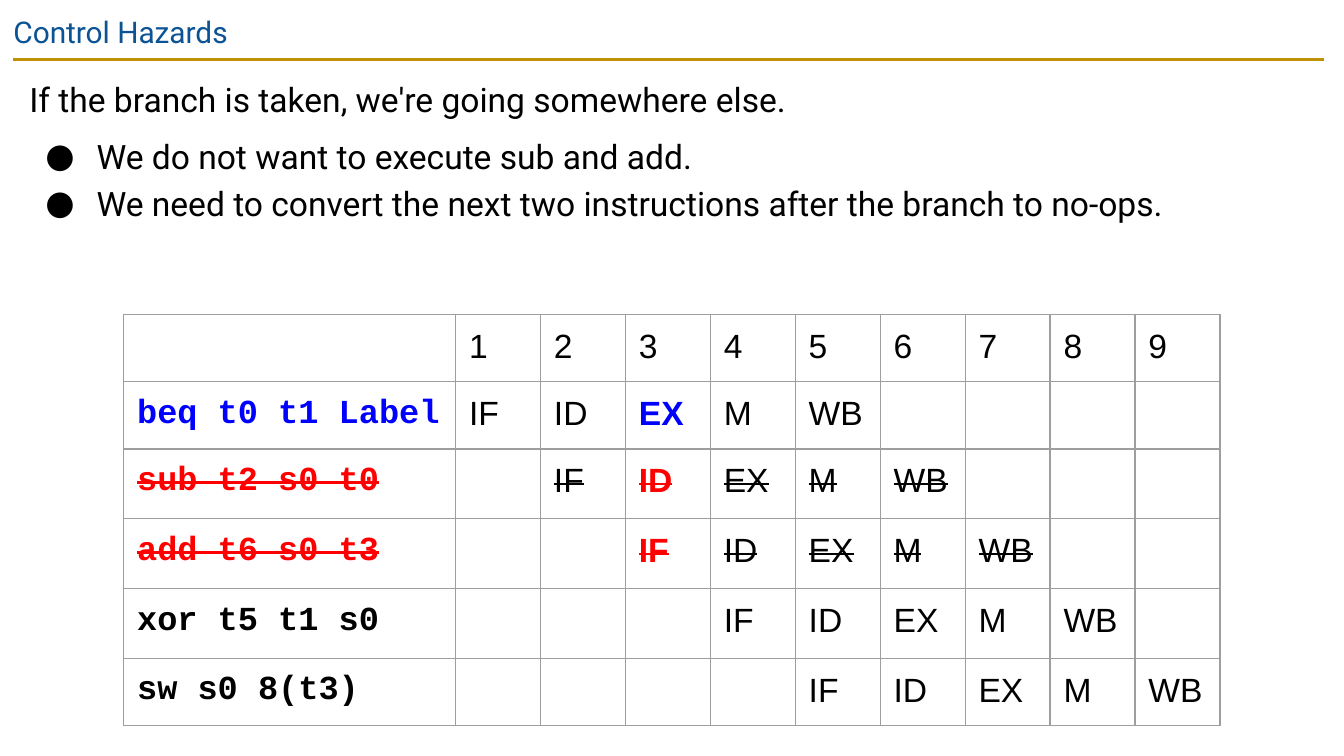
"""Build the Control Hazards slide with its pipeline table."""
from lxml.etree import SubElement
from pptx import Presentation
from pptx.dml.color import RGBColor
from pptx.enum.shapes import MSO_CONNECTOR
from pptx.enum.text import MSO_ANCHOR, MSO_AUTO_SIZE, PP_ALIGN
from pptx.oxml import parse_xml
from pptx.oxml.ns import nsdecls, qn
from pptx.util import Inches, Pt

BLACK = RGBColor(0, 0, 0)
BLUE = RGBColor(0, 0, 255)
RED = RGBColor(255, 0, 0)
NAVY = RGBColor(0x0B, 0x53, 0x94)
GOLD = RGBColor(0xBF, 0x90, 0x00)


def write(para, text, color=BLACK, **style):
    run = para.add_run()
    run.text = text
    run.font.color.rgb = color
    for key, value in style.items():
        setattr(run.font, key, value)
    return run


def pad(frame):
    for side in ("left", "top", "right", "bottom"):
        setattr(frame, f"margin_{side}", Inches(0.1))


deck = Presentation()
deck.slide_width = Inches(10)
deck.slide_height = Inches(10) * 9 // 16
slide = deck.slides.add_slide(deck.slide_layouts[5])

rule = slide.shapes.add_connector(
    MSO_CONNECTOR.STRAIGHT, Inches(0.1), Inches(0.44), Inches(9.85), Inches(0.44))
rule.line.color.rgb = GOLD
rule.line.width = Pt(1.5)
SubElement(rule._element.spPr, qn("a:effectLst"))

title = slide.shapes.title
title.left, title.top, title.width, title.height = (
    Inches(0), Inches(0), Inches(10), Inches(0.43))
frame = title.text_frame
pad(frame)
frame.auto_size = MSO_AUTO_SIZE.NONE
frame.vertical_anchor = MSO_ANCHOR.TOP
frame.paragraphs[0].alignment = PP_ALIGN.LEFT
write(frame.paragraphs[0], "Control Hazards", NAVY, name="Roboto", size=Pt(16))

body = slide.shapes.add_textbox(
    Inches(0.12), Inches(0.44), Inches(9.74), Inches(1.71)).text_frame
pad(body)
body.word_wrap = True
points = [
    ("If the branch is taken, we're going somewhere else.", 6, False),
    ("We do not want to execute sub and add.", 6, True),
    ("We need to convert the next two instructions after the branch to no-ops.", 0, True),
]
for i, (text, gap, dot) in enumerate(points):
    para = body.add_paragraph() if i else body.paragraphs[0]
    para.line_spacing = 1.15
    para.space_before = Pt(gap)
    write(para, text, name="Roboto", size=Pt(18))
    if dot:
        props = para._p.get_or_add_pPr()
        props.set("marL", str(Inches(0.5)))
        props.set("indent", str(Inches(-0.38)))
        SubElement(props, qn("a:buFont")).set("typeface", "Roboto")
        SubElement(props, qn("a:buChar")).set("char", "●")

STAGES = ["IF", "ID", "EX", "M", "WB"]
CODE = [
    ("beq t0 t1 Label", BLUE, False),
    ("sub t2 s0 t0", RED, True),
    ("add t6 s0 t3", RED, True),
    ("xor t5 t1 s0", BLACK, False),
    ("sw s0 8(t3)", BLACK, False),
]
HOT = 3
HEIGHTS = [Inches(h) for h in (0.5, 0.48, 0.52, 0.52, 0.52, 0.48)]
WIDTHS = [Inches(2.47)] + [Inches(5.69) // 9] * 9

shape = slide.shapes.add_table(
    6, 10, Inches(0.92), Inches(2.34), sum(WIDTHS), sum(HEIGHTS))
table = shape.table
table.first_row = table.horz_banding = False
for col, width in zip(table.columns, WIDTHS):
    col.width = width
for row, height in zip(table.rows, HEIGHTS):
    row.height = height

for cell in table.iter_cells():
    props = cell._tc.get_or_add_tcPr()
    for side in "LRTB":
        props.append(parse_xml(
            f'<a:ln{side} {nsdecls("a")} w="{Pt(0.75)}"><a:solidFill>'
            f'<a:srgbClr val="9E9E9E"/></a:solidFill></a:ln{side}>'))
    cell.fill.background()

items = [(0, n, str(n), BLACK, False, False, "Arial") for n in range(1, 10)]
for r, (code, tint, cut) in enumerate(CODE, 1):
    items.append((r, 0, code, tint, True, cut, "Courier New"))
    for c, stage in enumerate(STAGES, r):
        hot = c == HOT
        items.append((r, c, stage, tint if hot else BLACK, hot, cut, "Arial"))

for r, c, text, tint, bold, cut, font in items:
    cell = table.cell(r, c)
    pad(cell)
    run = write(cell.text_frame.paragraphs[0], text, tint,
                name=font, size=Pt(18), bold=bold)
    if cut:
        run._r.get_or_add_rPr().set("strike", "sngStrike")

deck.save("out.pptx")
